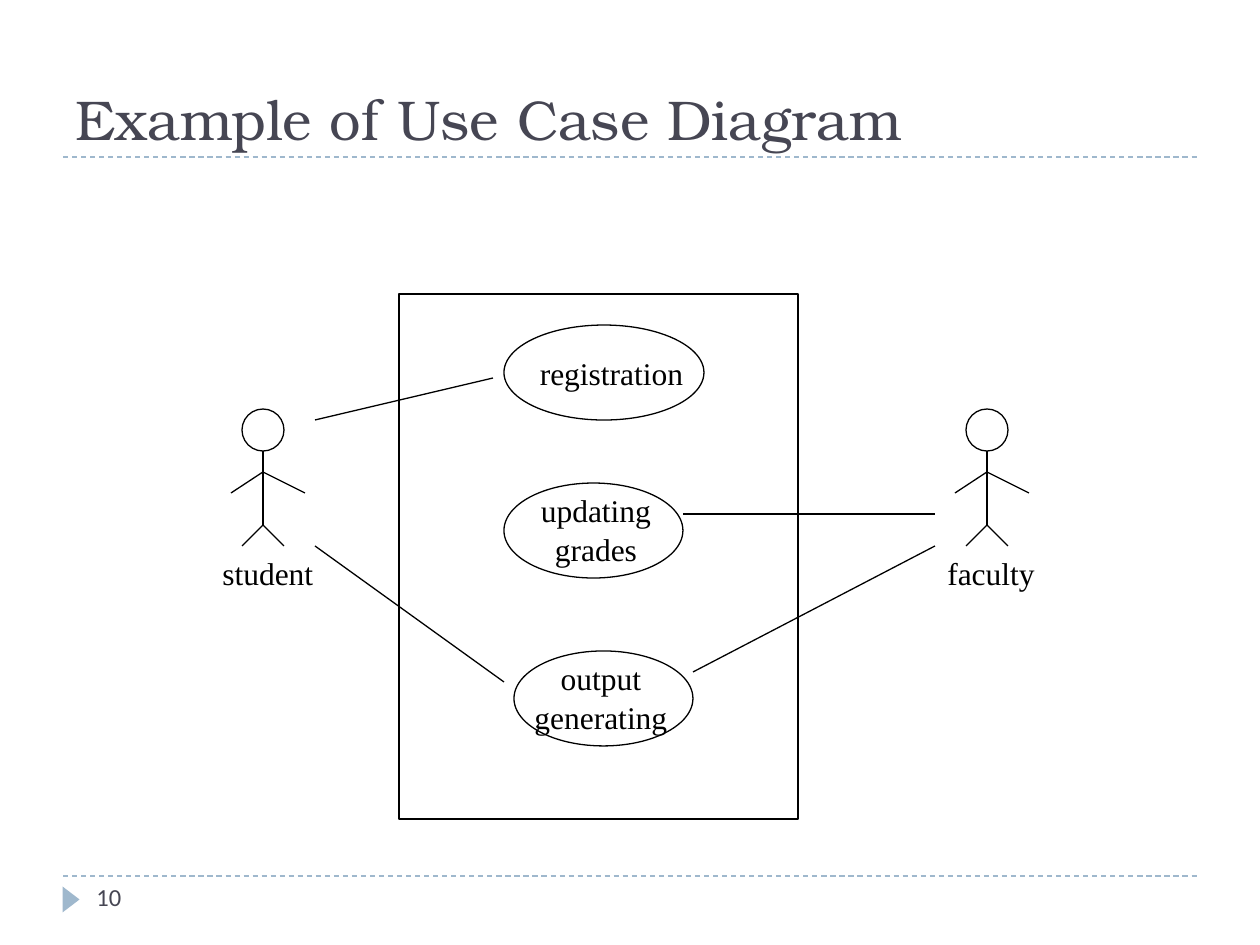
from pptx import Presentation
from pptx.dml.color import RGBColor
from pptx.enum.dml import MSO_LINE
from pptx.enum.shapes import MSO_CONNECTOR, MSO_SHAPE
from pptx.enum.text import MSO_ANCHOR, PP_ALIGN
from pptx.oxml.ns import qn
from pptx.util import Pt
from lxml import etree

PX = 914400 / 126
BLACK = RGBColor(0x00, 0x00, 0x00)
SLATE = RGBColor(0x46, 0x46, 0x53)
BLUE = RGBColor(0x9F, 0xB8, 0xCD)


def px(*lengths):
    return [round(n * PX) for n in lengths]


def add_line(x1, y1, x2, y2, color=BLACK):
    c = s.shapes.add_connector(MSO_CONNECTOR.STRAIGHT, *px(x1, y1, x2, y2))
    c.line.color.rgb = color
    c.line.width = Pt(0.75)
    etree.SubElement(c._element.spPr, qn("a:effectLst"))
    return c


prs = Presentation()
prs.slide_width, prs.slide_height = px(1260, 945)
s = prs.slides.add_slide(prs.slide_layouts[6])

# Dashed rules and page marker
for y in (876, 157):
    add_line(63, y, 1197, y, BLUE).line.dash_style = MSO_LINE.DASH

marker = s.shapes.add_shape(MSO_SHAPE.ISOSCELES_TRIANGLE, *px(58, 891, 26, 17))
marker.rotation = 90
marker.shadow.inherit = False
marker.fill.solid()
marker.fill.fore_color.rgb = BLUE
marker.line.fill.background()

# Outlines: actor heads, use cases, system boundary
ACTORS = [(263, 210, 136, "student"), (987, 935, 126, "faculty")]
OUTLINES = [(MSO_SHAPE.OVAL, x - 21, 409, 42, 42) for x, *_ in ACTORS] + [
    (MSO_SHAPE.OVAL, 504, 325, 200, 95),
    (MSO_SHAPE.OVAL, 504, 483, 179, 95),
    (MSO_SHAPE.OVAL, 514, 651, 179, 95),
    (MSO_SHAPE.RECTANGLE, 399, 294, 399, 525),
]
for kind, *box in OUTLINES:
    sp = s.shapes.add_shape(kind, *px(*box))
    sp.shadow.inherit = False
    sp.fill.background()
    sp.line.color.rgb = BLACK
    sp.line.width = Pt(0.75)

# Actor bodies: spine, arms, legs
for x, *_ in ACTORS:
    add_line(x, 451, x, 525)
    for dx in (42, -32):
        add_line(x, 472, x + dx, 493)
    for dx in (21, -21):
        add_line(x, 525, x + dx, 546)

# Associations between actors and use cases
for ends in [(315, 420, 493, 378), (315, 546, 504, 682),
             (935, 514, 683, 514), (935, 546, 693, 672)]:
    add_line(*ends)

# Text: box, lines, size, font, colour, alignment, anchor, line spacing
SERIF = "Times New Roman"
LEFT, CENTER = PP_ALIGN.LEFT, PP_ALIGN.CENTER
TOP, BOTTOM = MSO_ANCHOR.TOP, MSO_ANCHOR.BOTTOM
TEXTS = [
    ((63, 32, 1134, 126), ["Example of Use Case Diagram"], 32,
     "TeX Gyre Bonum", SLATE, LEFT, BOTTOM, 1.0),
    ((84, 876, 273, 50), ["10"], 14, "Calibri", SLATE, LEFT, TOP, 1.0),
]
for _, left, width, name in ACTORS:
    TEXTS.append(((left, 546, width, 50), [name], 18, SERIF, BLACK, LEFT, TOP, 1.04))
for box, lines in [((520, 346, 183, 50), ["registration"]),
                   ((514, 483, 164, 88), ["updating", "grades"]),
                   ((519, 651, 164, 88), ["output", "generating"])]:
    TEXTS.append((box, lines, 18, SERIF, BLACK, CENTER, TOP, 1.04))

for box, lines, size, font, color, align, anchor, spacing in TEXTS:
    tf = s.shapes.add_textbox(*px(*box)).text_frame
    tf.word_wrap = True
    tf.vertical_anchor = anchor
    for i, line in enumerate(lines):
        p = tf.add_paragraph() if i else tf.paragraphs[0]
        p.alignment = align
        p.line_spacing = spacing
        r = p.add_run()
        r.text = line
        r.font.size = Pt(size)
        r.font.name = font
        r.font.color.rgb = color

prs.save("out.pptx")
